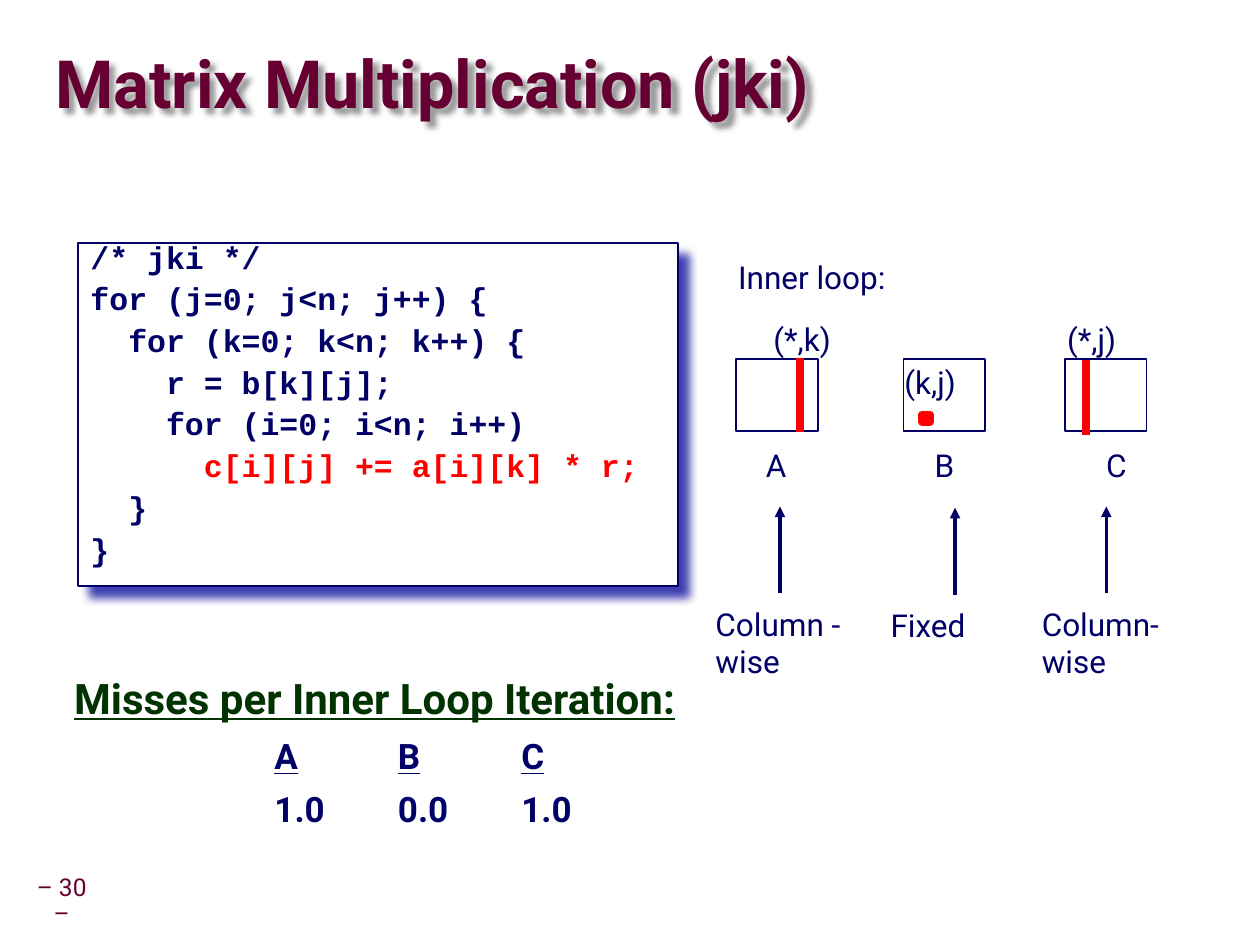
from dataclasses import dataclass

from pptx import Presentation
from pptx.dml.color import RGBColor
from pptx.enum.shapes import MSO_CONNECTOR as CONN, MSO_SHAPE as SHAPE
from pptx.enum.text import MSO_ANCHOR as ANCHOR, MSO_AUTO_SIZE as FIT, PP_ALIGN as ALIGN
from pptx.oxml import parse_xml
from pptx.oxml.ns import nsdecls
from pptx.util import Inches, Pt


@dataclass(frozen=True)
class Theme:
    title: str = "660033"
    ink: str = "000066"
    accent: str = "FF0000"
    heading: str = "003300"
    paper: str = "FFFFFF"
    glow: str = "000099"
    shade: str = "000000"
    font: str = "Roboto"
    mono: str = "Courier New"
    title_size: int = 38
    heading_size: int = 24
    value_size: int = 20
    body_size: int = 18
    footer_size: int = 14


T = Theme()

CODE = [
    ("/* jki */",),
    ("for (j=0; j<n; j++) {",),
    ("  for (k=0; k<n; k++) {",),
    ("    r = b[k][j];",),
    ("    for (i=0; i<n; i++)",),
    ("      ", "c[i][j] += a[i][k] * r;"),
    ("  }",),
    ("}",),
]


def rgb(value):
    return RGBColor.from_string(value)


def add_run(p, text, size=T.body_size, color=T.ink, font=T.font, bold=False, underline=False):
    r = p.add_run()
    r.text = text
    r.font.size, r.font.name = Pt(size), font
    r.font.bold, r.font.underline = bold, underline
    r.font.color.rgb = rgb(color)


def paragraph(tf, index):
    return tf.add_paragraph() if index else tf.paragraphs[0]


def text_box(shapes, x, y, w, h, wrap=False):
    tf = shapes.add_textbox(Inches(x), Inches(y), Inches(w), Inches(h)).text_frame
    tf.word_wrap = wrap
    tf.auto_size = FIT.NONE if wrap else FIT.SHAPE_TO_FIT_TEXT
    return tf


def label(shapes, x, y, w, *lines):
    tf = text_box(shapes, x, y, w, 0.1 + 0.3 * len(lines))
    for i, line in enumerate(lines):
        add_run(paragraph(tf, i), line)


def rect(shapes, x, y, w, h, fill=T.paper, line=T.ink, width=1):
    sp = shapes.add_shape(SHAPE.RECTANGLE, Inches(x), Inches(y), Inches(w), Inches(h))
    sp.shadow.inherit = False
    sp.fill.solid()
    sp.fill.fore_color.rgb = rgb(fill)
    sp.line.color.rgb, sp.line.width = rgb(line), Pt(width)
    return sp


def vertical_line(shapes, x, y_from, y_to, color, width, arrow=False):
    cx = shapes.add_connector(CONN.STRAIGHT, Inches(x), Inches(y_from), Inches(x), Inches(y_to))
    cx.line.color.rgb, cx.line.width = rgb(color), Pt(width)
    sp_pr = cx._element.spPr
    if arrow:
        sp_pr.ln.append(parse_xml(f'<a:tailEnd {nsdecls("a")} type="triangle"/>'))
    sp_pr.append(parse_xml(f'<a:effectLst {nsdecls("a")}/>'))


def cast_shadow(sp, color, alpha, blur, dist):
    """Shadow to the lower right; alpha in percent, blur and dist in points."""
    sp.shadow.inherit = False
    effects = sp._element.spPr.find("{*}effectLst")
    effects.append(parse_xml(
        f'<a:outerShdw {nsdecls("a")} blurRad="{Pt(blur)}" dist="{Pt(dist)}" dir="2700000" '
        f'algn="tl" rotWithShape="0"><a:srgbClr val="{color}">'
        f'<a:alpha val="{alpha * 1000}"/></a:srgbClr></a:outerShdw>'))


def add_title(slide, x, y, w, h):
    sp = slide.shapes.title
    sp.left, sp.top, sp.width, sp.height = map(Inches, (x, y, w, h))
    tf = sp.text_frame
    tf.margin_left = tf.margin_top = tf.margin_right = tf.margin_bottom = 0
    tf.vertical_anchor, tf.auto_size = ANCHOR.MIDDLE, FIT.NONE
    p = tf.paragraphs[0]
    p.alignment, p.line_spacing = ALIGN.LEFT, 0.87
    add_run(p, "Matrix Multiplication (jki)", size=T.title_size, color=T.title, bold=True)
    cast_shadow(sp, T.shade, alpha=40, blur=3, dist=4)


def add_code(slide, x, y, w, h):
    sp = rect(slide.shapes, x, y, w, h)
    cast_shadow(sp, T.glow, alpha=75, blur=5, dist=8.5)
    tf = sp.text_frame
    tf.vertical_anchor, tf.word_wrap = ANCHOR.TOP, True
    for i, parts in enumerate(CODE):
        p = paragraph(tf, i)
        p.alignment, p.line_spacing = ALIGN.LEFT, 0.65
        p.space_before = Pt(9.8 if i else 0)
        # A second part is the highlighted statement
        for text, color in zip(parts, (T.ink, T.accent)):
            add_run(p, text, color=color, font=T.mono, bold=True)


def add_matrix(slide, x, y, name, name_dx, index, index_at, access, access_at, mark_at):
    """One matrix: box, red mark, name, index and access pattern."""
    shapes = slide.shapes
    rect(shapes, x, y, 0.65, 0.57)
    dx, dy = mark_at
    if access[0] == "Fixed":
        rect(shapes, x + dx, y + dy, 0.06, 0.06, fill=T.accent, line=T.accent, width=4.5)
    else:
        vertical_line(shapes, x + dx, y + dy + 0.59, y + dy, T.accent, 4.5)
    label(shapes, x + name_dx, y + 0.64, 0.36, name)
    dx, dy, w = index_at
    label(shapes, x + dx, y + dy, w, index)
    # Access pattern with its arrow
    dx, dy, w = access_at
    group = slide.shapes.add_group_shape().shapes
    label(group, x + dx, y + dy, w, *access)
    vertical_line(group, x + dx + 0.61, y + dy - 0.04, y + dy - 0.73, T.ink, 2, arrow=True)


def add_inner_loop(slide, x, y):
    label(slide.shapes, x, y, 1.38, "Inner loop:")
    top = y + 0.85
    add_matrix(slide, x + 0.08, top, "A", 0.14, "(*,k)", (0.2, -0.36, 0.66),
               ("Column -", "wise"), (-0.26, 1.9, 1.21), (0.51, -0.01))
    add_matrix(slide, x + 1.41, top, "B", 0.15, "(k,j)", (-0.09, -0.02, 0.61),
               ("Fixed",), (-0.2, 1.91, 0.81), (0.15, 0.44))
    add_matrix(slide, x + 2.69, top, "C", 0.23, "(*,j)", (-0.08, -0.36, 0.59),
               ("Column-", "wise"), (-0.28, 1.9, 1.14), (0.17, 0.01))


def add_misses(slide, x, y, w, h):
    tf = text_box(slide.shapes, x, y, w, h, wrap=True)
    p = tf.paragraphs[0]
    p.line_spacing = 0.95
    add_run(p, "Misses per Inner Loop Iteration:", size=T.heading_size,
            color=T.heading, bold=True, underline=True)
    stops = "".join(f'<a:tab pos="{Inches(1.59 + 0.98 * i)}" algn="l"/>' for i in range(3))
    for cells, underline in ((("A", "B", "C"), True), (("1.0", "0.0", "1.0"), False)):
        p = tf.add_paragraph()
        p.space_before = Pt(6)
        p._p.get_or_add_pPr().append(parse_xml(f'<a:tabLst {nsdecls("a")}>{stops}</a:tabLst>'))
        for cell in cells:
            add_run(p, "\t", size=T.value_size, bold=True)
            add_run(p, cell, size=T.value_size, bold=True, underline=underline)


def add_page_number(slide, x, y, w, h):
    tf = text_box(slide.shapes, x, y, w, h, wrap=True)
    tf.margin_left = tf.margin_right = Inches(0.05)
    tf.vertical_anchor = ANCHOR.MIDDLE
    p = tf.paragraphs[0]
    p.alignment, p.line_spacing = ALIGN.CENTER, 0.9
    add_run(p, "– 30 –", size=T.footer_size, color=T.title)


def main():
    prs = Presentation()
    prs.slide_width, prs.slide_height = Inches(10), Inches(7.5)
    slide = prs.slides.add_slide(prs.slide_layouts[5])
    add_page_number(slide, 0.24, 7, 0.5, 0.31)
    add_title(slide, 0.44, 0.27, 9.53, 0.85)
    add_code(slide, 0.62, 1.93, 4.76, 2.72)
    add_inner_loop(slide, 5.76, 2)
    add_misses(slide, 0.49, 5.32, 5.26, 1.34)
    prs.save("out.pptx")


if __name__ == "__main__":
    main()
